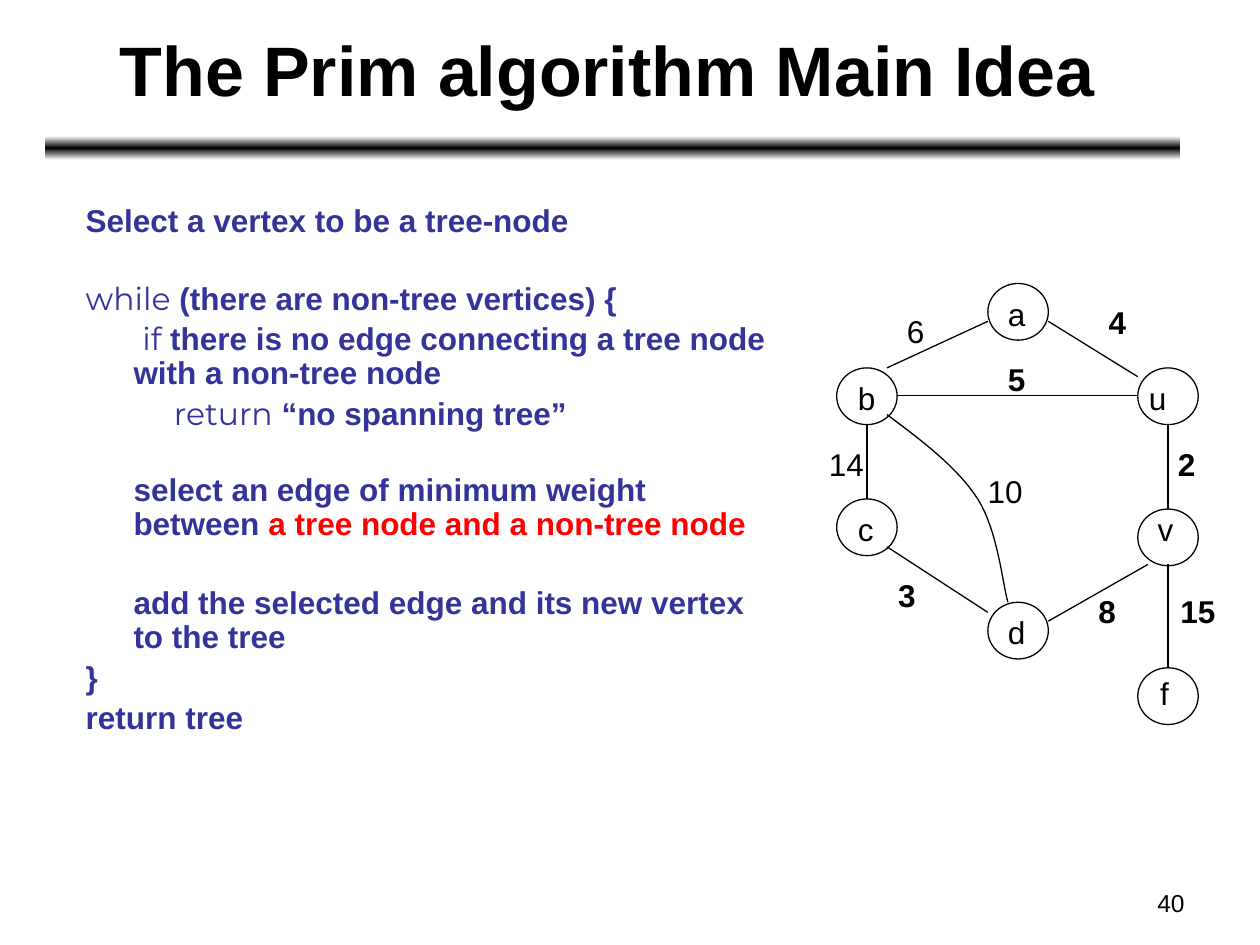
from copy import deepcopy

from pptx import Presentation
from pptx.dml.color import RGBColor as RGB
from pptx.enum.shapes import MSO_CONNECTOR as LINK, MSO_SHAPE as SHAPE
from pptx.enum.text import MSO_ANCHOR as ANCHOR, MSO_AUTO_SIZE as AUTO, PP_ALIGN as ALIGN
from pptx.oxml.ns import qn
from pptx.util import Inches, Pt

COLORS = {"black": "000000", "white": "FFFFFF", "blue": "333399", "red": "FF0000"}
SANS, CODE = "Arial", "Montserrat"
NODE_W, NODE_H = 0.48, 0.45

# Each step: left margin, first-line indent, space before, runs of (text, style)
STEPS = [
    (0.38, -0.38, 0, [("Select a vertex to be a tree-node", "text")]),
    (0.38, -0.38, 25, [("while", "code"), (" (there are non-tree vertices) {", "text")]),
    (0.38, 0.07, 3.6, [("if", "code"), (" there is no edge connecting a tree node "
                                        "with a non-tree node", "text")]),
    (0.38, 0.32, 3.6, [("return", "code"), (" “no spanning tree”", "text")]),
    (0.38, 0, 24, [("select an edge of minimum weight between ", "text"),
                   ("a tree node and a non-tree node", "alert")]),
    (0.38, 0, 26, [("add the selected edge and its new vertex to the tree", "text")]),
    (0.38, -0.38, 3.6, [("}", "text")]),
    (0.38, -0.38, 3.6, [("return tree", "text")]),
]
STYLES = {"text": (SANS, True, "blue"), "code": (CODE, False, "blue"),
          "alert": (SANS, True, "red")}

# Node: left, top of the circle, then left, top of its letter
NODES = {
    "a": (7.84, 2.25, 7.9, 2.29), "b": (6.64, 2.92, 6.71, 2.96),
    "c": (6.64, 3.96, 6.71, 4), "d": (7.84, 4.78, 7.9, 4.82),
    "u": (9.03, 2.92, 9.02, 2.96), "v": (9.03, 4.04, 9.09, 4),
    "f": (9.03, 5.3, 9.11, 5.3),
}
EDGES = [
    (6.88, 3.37, 6.88, 3.96), (7.04, 2.92, 7.84, 2.55), (7.04, 4.34, 7.84, 4.86),
    (8.32, 4.93, 9.11, 4.48), (8.32, 2.55, 9.03, 2.99), (9.27, 3.37, 9.27, 4.04),
    (7.12, 3.14, 9.03, 3.14), (9.27, 4.48, 9.27, 5.3),
]
# Curved edge from b to d, as two cubic segments
CURVE = [((7.04, 3.29), (7.32, 3.5), (7.6, 3.71), (7.76, 3.96)),
         ((7.76, 3.96), (7.92, 4.21), (7.96, 4.65), (8, 4.78))]
# Weight: text, left, top, bold
COSTS = [
    ("6", 7.1, 2.43, False), ("4", 8.7, 2.36, True), ("5", 7.9, 2.81, True),
    ("2", 9.25, 3.48, True), ("15", 9.27, 4.65, True), ("8", 8.62, 4.65, True),
    ("10", 7.74, 3.7, False), ("14", 6.48, 3.48, False), ("3", 7.03, 4.52, True),
]


def color(name):
    return RGB.from_string(COLORS[name])


def style(font, size, name=SANS, bold=False, tint="black"):
    font.size, font.name, font.bold = Pt(size), name, bold
    font.color.rgb = color(tint)


def place(shape, *box):
    shape.left, shape.top, shape.width, shape.height = map(Inches, box)


def outline(shape):
    shape.line.color.rgb = color("black")
    shape.line.width = Pt(0.75)


def add_bar(slide):
    bar = slide.shapes.add_shape(SHAPE.ROUNDED_RECTANGLE,
                                 *map(Inches, (0.36, 1.08, 9.01, 0.19)))
    bar.shadow.inherit = False
    bar.line.fill.background()
    bar.fill.gradient()
    bar.fill.gradient_angle = 90
    # A third stop makes the dark middle
    stops = bar.fill._fill._gradFill.find(qn("a:gsLst"))
    stops.append(deepcopy(stops[0]))
    for stop, tint, pos in zip(bar.fill.gradient_stops,
                               ("white", "black", "white"), (0, 0.5, 1)):
        stop.color.rgb = color(tint)
        stop.position = pos


def add_title(slide):
    title = slide.shapes.title
    place(title, 0.57, 0, 8.5, 1.08)
    frame = title.text_frame
    frame.text = "The Prim algorithm Main Idea"
    frame.auto_size = AUTO.NONE
    frame.vertical_anchor = ANCHOR.MIDDLE
    frame.paragraphs[0].alignment = ALIGN.CENTER
    style(frame.paragraphs[0].runs[0].font, 40, bold=True)


def add_steps(slide):
    body = slide.placeholders[1]
    place(body, 0.58, 1.58, 5.67, 5)
    frame = body.text_frame
    frame.auto_size = AUTO.NONE
    frame.vertical_anchor = ANCHOR.TOP
    for i, (left, indent, gap, runs) in enumerate(STEPS):
        para = frame.add_paragraph() if i else frame.paragraphs[0]
        props = para._p.get_or_add_pPr()
        props.set("marL", str(Inches(left)))
        props.set("indent", str(Inches(indent)))
        props.append(props.makeelement(qn("a:buNone"), {}))
        para.line_spacing = 0.9
        para.space_before = Pt(gap)
        for text, kind in runs:
            run = para.add_run()
            run.text = text
            style(run.font, 18, *STYLES[kind])


def add_label(slide, text, left, top, width, height=0.4, size=18, bold=False,
              align=ALIGN.LEFT):
    label = slide.shapes.add_textbox(*map(Inches, (left, top, width, height)))
    frame = label.text_frame
    frame.word_wrap = True
    frame.text = text
    frame.paragraphs[0].alignment = align
    style(frame.paragraphs[0].runs[0].font, size, bold=bold)


def add_node(slide, left, top):
    node = slide.shapes.add_shape(SHAPE.OVAL,
                                  *map(Inches, (left, top, NODE_W, NODE_H)))
    node.shadow.inherit = False
    node.fill.background()
    outline(node)


def add_edge(slide, *ends):
    edge = slide.shapes.add_connector(LINK.STRAIGHT, *map(Inches, ends))
    outline(edge)
    props = edge._element.spPr
    props.append(props.makeelement(qn("a:effectLst"), {}))


def bezier(points, t):
    parts = ((1 - t) ** 3, 3 * t * (1 - t) ** 2, 3 * t * t * (1 - t), t ** 3)
    return tuple(Inches(sum(k * p[axis] for k, p in zip(parts, points)))
                 for axis in (0, 1))


def add_curve(slide, count=16):
    dots = [bezier(part, i / count) for part in CURVE for i in range(1, count + 1)]
    pen = slide.shapes.build_freeform(*bezier(CURVE[0], 0))
    pen.add_line_segments(dots, close=False)
    curve = pen.convert_to_shape()
    curve.shadow.inherit = False
    curve.fill.background()
    outline(curve)


def add_graph(slide):
    for left, top, _, _ in NODES.values():
        add_node(slide, left, top)
    for ends in EDGES:
        add_edge(slide, *ends)
    add_curve(slide)
    for text, left, top, bold in COSTS:
        add_label(slide, text, left, top, 0.2 + 0.14 * len(text), bold=bold)
    for text, (_, _, left, top) in NODES.items():
        add_label(slide, text, left, top, 0.34)


def main():
    deck = Presentation()
    deck.slide_width, deck.slide_height = Inches(10), Inches(7.5)
    slide = deck.slides.add_slide(deck.slide_layouts[1])
    add_bar(slide)
    add_title(slide)
    add_steps(slide)
    add_graph(slide)
    # Page number
    add_label(slide, "40", 7.17, 7, 2.33, 0.35, size=14, align=ALIGN.RIGHT)
    deck.save("out.pptx")


if __name__ == "__main__":
    main()
